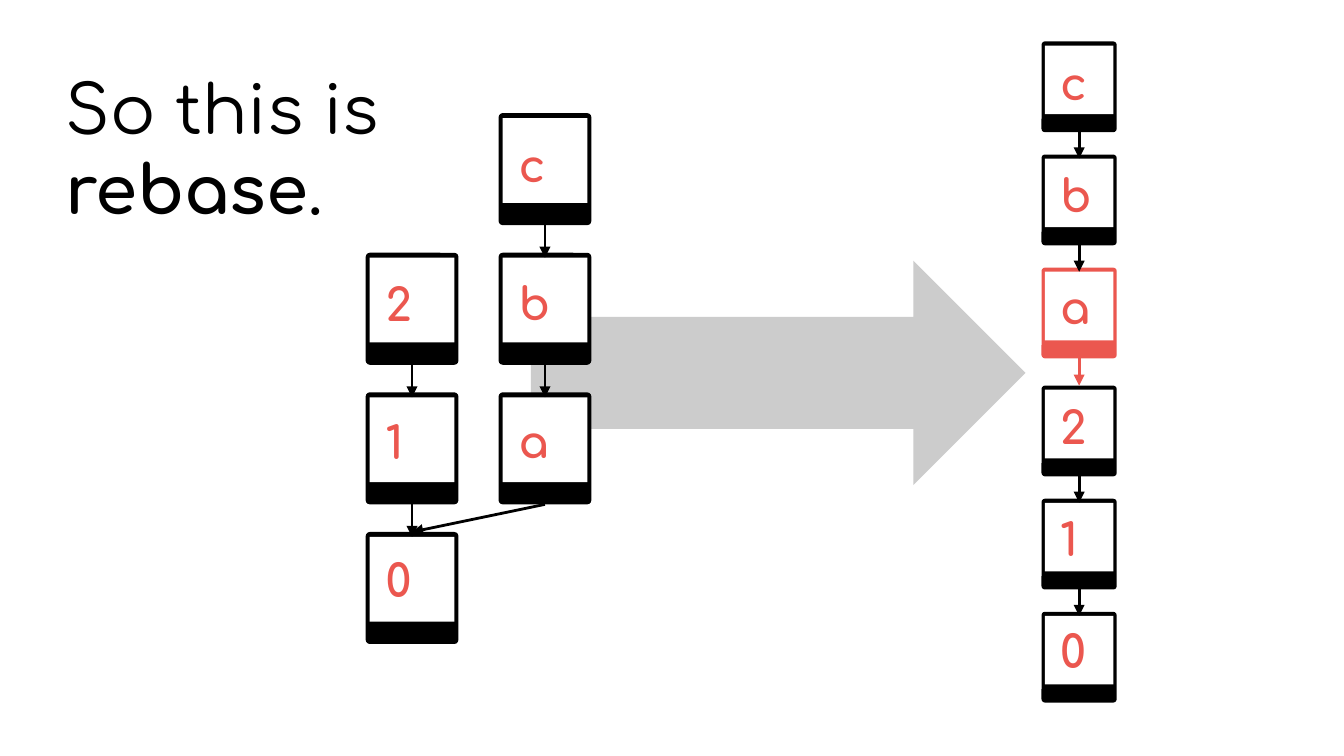
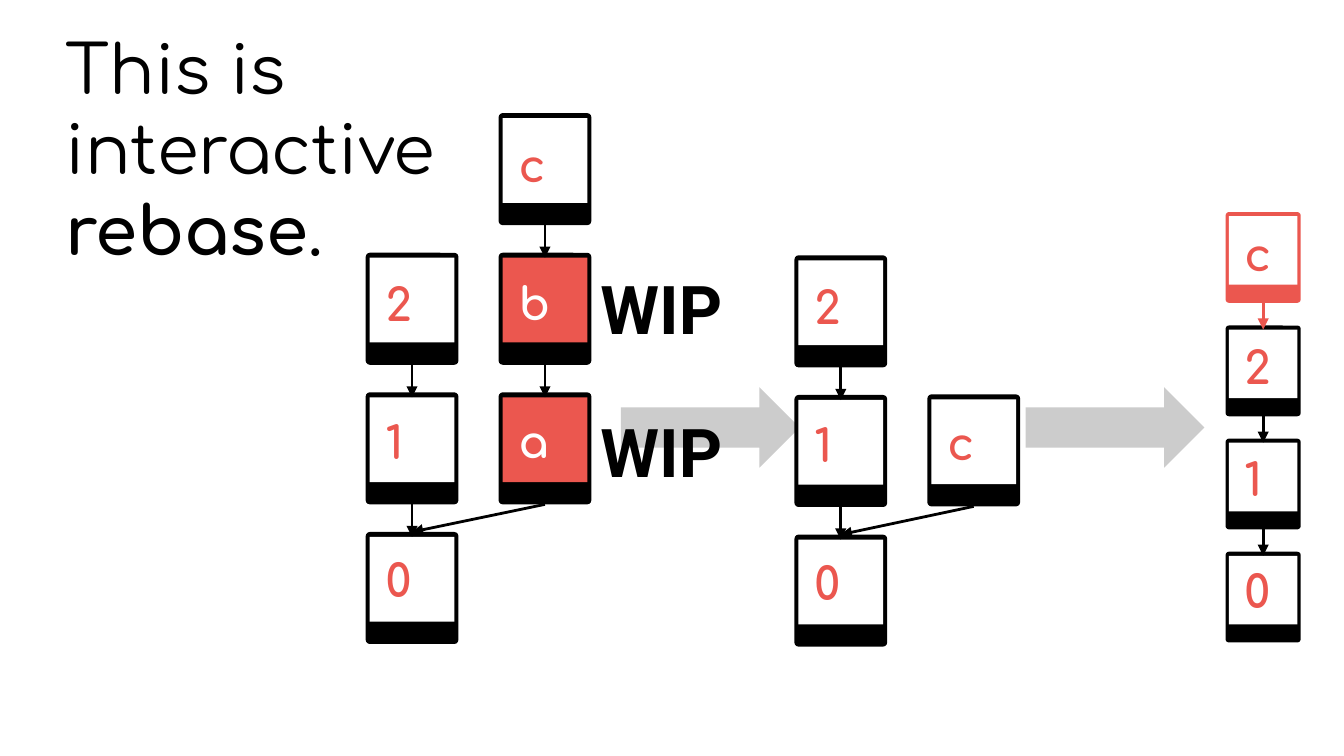
"""Build two slides that compare rebase with interactive rebase."""
from dataclasses import dataclass

import lxml.etree
import pptx
import pptx.dml.color
import pptx.enum.shapes
import pptx.enum.text
import pptx.oxml.ns
import pptx.util

Pt = pptx.util.Pt
KIND = pptx.enum.shapes.MSO_SHAPE
ALIGN = pptx.enum.text.PP_ALIGN


@dataclass(frozen=True)
class Theme:
    ink: str = "000000"
    paper: str = "FFFFFF"
    red: str = "EB574F"
    gray: str = "CCCCCC"
    font: str = "Comfortaa"
    loud: str = "Roboto"
    head: int = 36
    label: int = 24
    line: float = 1.5
    pad: float = 7.2
    small: float = 0.81


class Deck:
    def __init__(self, theme):
        self.theme = theme
        self.file = pptx.Presentation()
        self.file.slide_width = Pt(720)
        self.file.slide_height = Pt(405)
        self.slide = None

    def tint(self, code):
        return pptx.dml.color.RGBColor.from_string(code)

    def style(self, run, size, color, bold, font):
        run.font.size = Pt(size)
        run.font.color.rgb = self.tint(color)
        run.font.bold = bold
        run.font.name = font

    def frame(self, shape, align):
        frame = shape.text_frame
        frame.word_wrap = True
        frame.auto_size = pptx.enum.text.MSO_AUTO_SIZE.NONE
        frame.vertical_anchor = pptx.enum.text.MSO_ANCHOR.MIDDLE
        frame.margin_left = frame.margin_right = Pt(self.theme.pad)
        frame.margin_top = frame.margin_bottom = Pt(self.theme.pad)
        frame.paragraphs[0].alignment = align
        return frame

    def page(self, lead):
        self.slide = self.file.slides.add_slide(self.file.slide_layouts[5])
        title = self.slide.shapes.title
        title.left, title.top = Pt(28), Pt(30.2)
        title.width, title.height = Pt(224), Pt(98)
        para = self.frame(title, ALIGN.LEFT).paragraphs[0]
        for text, bold in ((lead, False), ("rebase", True), (".", False)):
            run = para.add_run()
            run.text = text
            self.style(run, self.theme.head, self.theme.ink, bold, self.theme.font)

    def text(self, text, box, size, color, font, align):
        shape = self.slide.shapes.add_textbox(*map(Pt, box))
        frame = self.frame(shape, align)
        frame.text = text
        self.style(frame.paragraphs[0].runs[0], size, color, True, font)

    def shape(self, kind, box, color, home=None):
        shape = (home or self.slide).shapes.add_shape(kind, *map(Pt, box))
        shape.shadow.inherit = False
        shape.fill.solid()
        shape.fill.fore_color.rgb = self.tint(color)
        shape.line.fill.background()
        return shape

    def arrow(self, *box):
        self.shape(KIND.RIGHT_ARROW, box, self.theme.gray)

    def link(self, start, end, color=None):
        kind = pptx.enum.shapes.MSO_CONNECTOR.STRAIGHT
        line = self.slide.shapes.add_connector(kind, 0, 0, 0, 0)
        line.begin_connect(start, 2)
        line.end_connect(end, 0)
        line.line.width = Pt(self.theme.line)
        line.line.color.rgb = self.tint(color or self.theme.ink)
        tag = pptx.oxml.ns.qn
        tail = lxml.etree.SubElement(line.line._get_or_add_ln(), tag("a:tailEnd"))
        tail.set("type", "triangle")
        lxml.etree.SubElement(line._element.spPr, tag("a:effectLst"))

    def card(self, name, x, y, k, rank, edge, face):
        group = self.slide.shapes.add_group_shape()
        outer = self.shape(KIND.ROUNDED_RECTANGLE, (x, y, 49.7 * k, 60 * k), edge, group)
        outer.adjustments[0] = 0.045
        box = (x + 2.15 * k, y + 2.7 * k, 45.4 * k, 45.4 * k)
        inner = self.shape(KIND.RECTANGLE, box, face, group)
        color = self.theme.paper if face == self.theme.red else self.theme.red
        box = (x + 3.6 * k, y + (11.5 - 0.8 * rank) * k, 42.5 * k, 31.7 * k)
        self.text(name, box, self.theme.label, color, self.theme.font, ALIGN.CENTER)
        return outer, inner

    def stack(self, names, x, y, k=1, rank=0, hot="", full=""):
        cards = []
        for i, name in enumerate(names):
            edge = self.theme.red if name in hot else self.theme.ink
            face = self.theme.red if name in full else self.theme.paper
            cards.append(self.card(name, x, y + 74.8 * k * i, k, rank + i, edge, face))
        for upper, lower in zip(cards, cards[1:]):
            self.link(upper[0], lower[1])
        return cards

    def fork(self, names, x, y, rise, rank=0, full=""):
        trunk = self.stack("210", x, y)
        branch = self.stack(names, x + 71.2, y + rise, rank=rank, full=full)
        self.link(branch[-1][0], trunk[-1][0])

    def note(self, text, x, y):
        box = (x, y, 95.8, 31.7)
        self.text(text, box, self.theme.head, self.theme.ink, self.theme.loud, ALIGN.LEFT)


def main():
    theme = Theme()
    deck = Deck(theme)

    deck.page("So this is ")
    deck.arrow(284.4, 139.7, 265, 120.2)
    base = deck.stack("210", 558, 206.6, theme.small)
    moved = deck.stack("cba", 558, 22.2, theme.small, hot="a")
    deck.link(moved[-1][0], base[0][0], theme.red)
    deck.fork("cba", 195.9, 135.4, -74.8)

    deck.page("This is interactive ")
    deck.arrow(332.6, 207.4, 95.8, 43.2)
    base = deck.stack("210", 656.6, 174.4, theme.small)
    moved = deck.stack("c", 656.6, 113.6, theme.small, hot="c")
    deck.link(moved[0][0], base[0][1], theme.red)
    deck.fork("cba", 195.9, 135.4, -74.8, full="ba")
    for y in (149, 225.4):
        deck.note("WIP", 314.6, y)
    deck.arrow(549.4, 207.4, 95.8, 43.2)
    deck.fork("c", 425.6, 136.8, 74.5, rank=2)

    deck.file.save("out.pptx")


if __name__ == "__main__":
    main()
